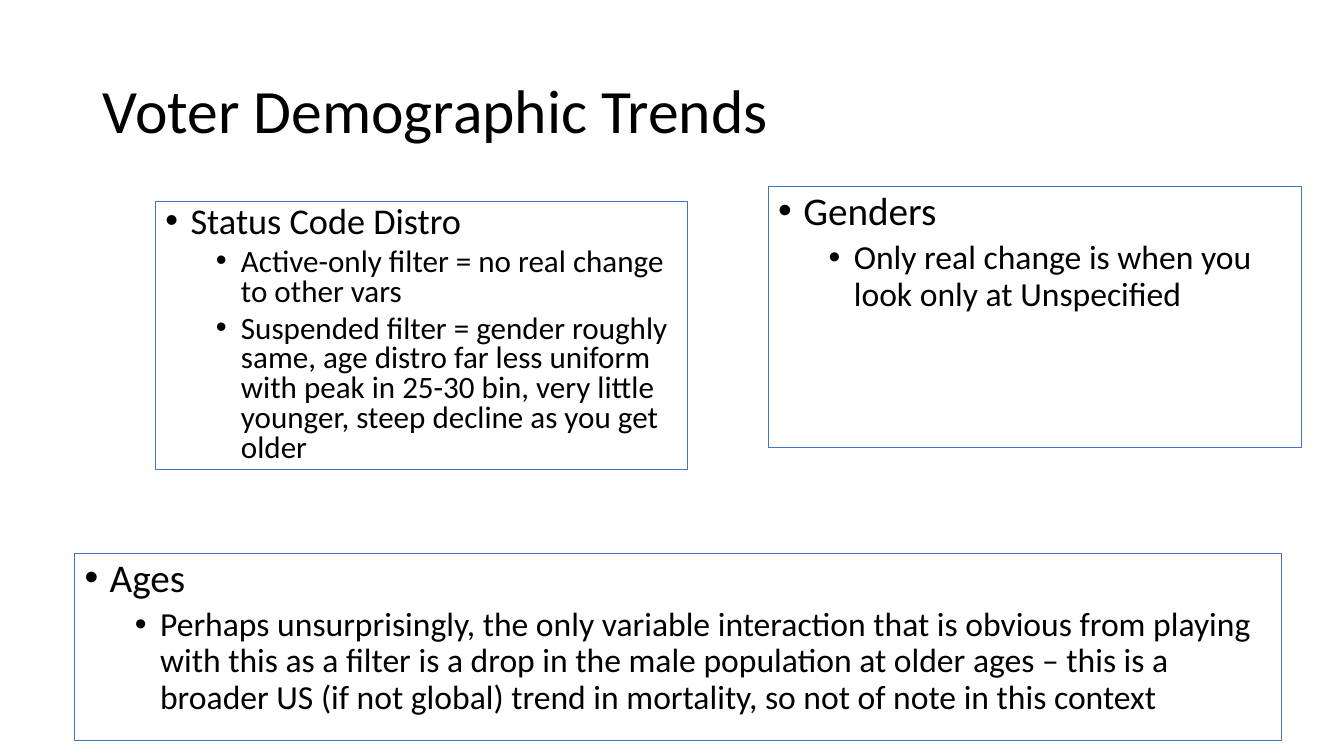
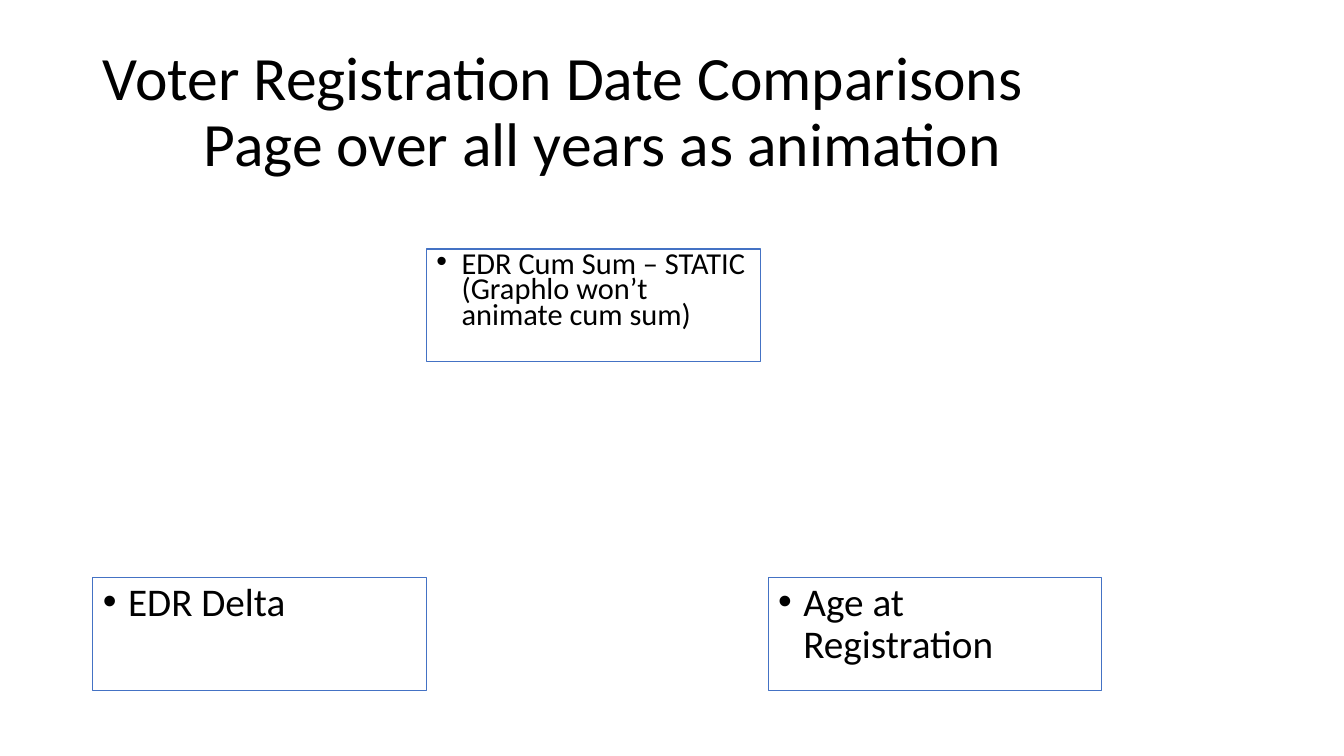
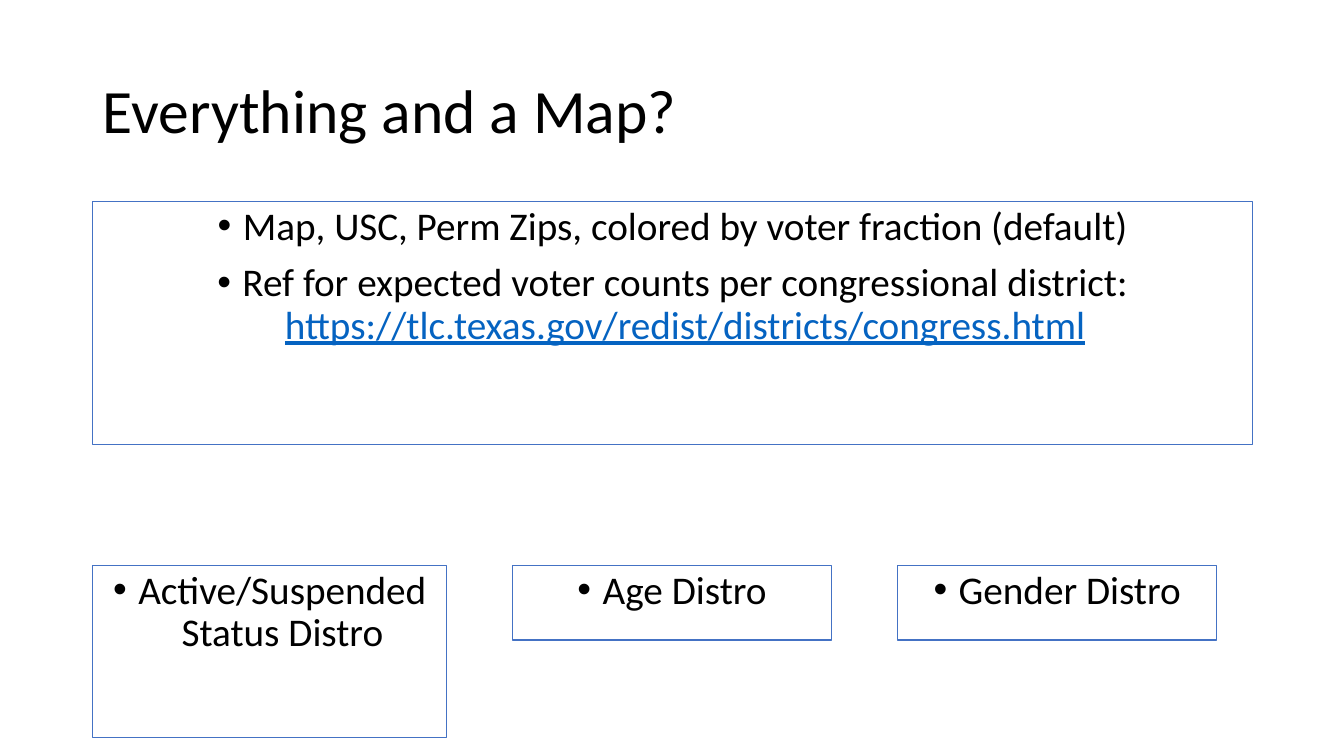
from lxml import etree
from pptx import Presentation
from pptx.dml.color import RGBColor
from pptx.enum.text import MSO_ANCHOR, MSO_AUTO_SIZE, PP_ALIGN
from pptx.oxml.ns import qn
from pptx.util import Inches, Pt

LEFT, CENTER = PP_ALIGN.LEFT, PP_ALIGN.CENTER
TOP, MIDDLE = MSO_ANCHOR.TOP, MSO_ANCHOR.MIDDLE
NO_FIT = MSO_AUTO_SIZE.NONE

BLACK = RGBColor(0x00, 0x00, 0x00)
BLUE = RGBColor(0x44, 0x72, 0xC4)
LINK = RGBColor(0x05, 0x63, 0xC1)
FONT = "Calibri"
MARGIN = 0.92
CONTENT_WIDTH = 11.5


def write(para, text, size, color=BLACK, underline=None):
    """Add text to a paragraph, with a line break at each vertical tab."""
    for number, line in enumerate(text.split("\v")):
        if number:
            para.add_line_break()
        span = para.add_run()
        span.text = line
        span.font.name = FONT
        span.font.size = Pt(size)
        span.font.color.rgb = color
        span.font.underline = underline


class Deck:
    """Holds the presentation, its shared style and the current page."""

    def __init__(self):
        """Start an empty widescreen presentation."""
        self.file = Presentation()
        self.file.slide_width = Inches(13.33)
        self.file.slide_height = Inches(7.5)
        self.page = None

    def place(self, shape, area, anchor):
        """Position a shape and return its prepared text frame."""
        shape.left, shape.top, shape.width, shape.height = map(Inches, area)
        frame = shape.text_frame
        frame.word_wrap = True
        frame.auto_size = NO_FIT
        frame.vertical_anchor = anchor
        return frame

    def add_page(self, title):
        """Add a page with a title."""
        self.page = self.file.slides.add_slide(self.file.slide_layouts[1])
        area = (MARGIN, 0.4, CONTENT_WIDTH, 1.45)
        para = self.place(self.page.shapes.title, area, MIDDLE).paragraphs[0]
        para.alignment = LEFT
        para.line_spacing = 0.9
        para._p.get_or_add_pPr().set("defTabSz", str(Inches(1)))
        write(para, title, size=44)

    def add_body(self, area, items, **style):
        """Fill the body placeholder with a framed list."""
        self.fill_list(self.page.placeholders[1], area, items, **style)

    def add_panel(self, area, items, **style):
        """Add a text box with a framed list."""
        box = self.page.shapes.add_textbox(*map(Inches, area))
        self.fill_list(box, area, items, **style)

    def fill_list(self, box, area, items, sizes=(28, 24), spacing=0.9, align=LEFT):
        """Frame a box and write (level, text, link) items as bullets."""
        box.line.color.rgb = BLUE
        box.line.width = Pt(0.75)
        frame = self.place(box, area, TOP)
        for number, (level, text, *links) in enumerate(items):
            para = frame.add_paragraph() if number else frame.paragraphs[0]
            para.level = level
            para.alignment = align
            para.line_spacing = spacing
            para.space_before = Pt(5 if level else 10)
            para.space_after = Pt(0)
            self.add_bullet(para, level)
            write(para, text, size=sizes[level])
            for link in links:
                write(para, link, size=sizes[level], color=LINK, underline=True)

    def add_bullet(self, para, level):
        """Give a paragraph a hanging round bullet."""
        properties = para._p.get_or_add_pPr()
        properties.set("marL", str(Inches(0.25 + 0.5 * level)))
        properties.set("indent", str(Inches(-0.25)))
        etree.SubElement(properties, qn("a:buFont")).set("typeface", "Arial")
        etree.SubElement(properties, qn("a:buChar")).set("char", "•")


def add_demographics(deck):
    """Build the page on demographic trends."""
    deck.add_page("Voter Demographic Trends")
    deck.add_body((1.54, 2, 5.28, 2.66), [
        (0, "Status Code Distro"),
        (1, "Active-only filter = no real change to other vars"),
        (1, "Suspended filter = gender roughly same, age distro far less uniform "
            "with peak in 25-30 bin, very little younger, steep decline as you get older"),
    ], sizes=(25.9, 22.2), spacing=0.8)
    deck.add_panel((7.62, 1.85, 5.29, 2.59), [
        (0, "Genders"),
        (1, "Only real change is when you look only at Unspecified"),
    ])
    deck.add_panel((0.74, 5.49, 11.97, 1.86), [
        (0, "Ages"),
        (1, "Perhaps unsurprisingly, the only variable interaction that is obvious "
            "from playing with this as a filter is a drop in the male population at "
            "older ages – this is a broader US (if not global) trend in mortality, "
            "so not of note in this context"),
    ])


def add_registration(deck):
    """Build the page on registration dates."""
    width, height, low = 3.31, 1.12, 5.73
    deck.add_page("Voter Registration Date Comparisons\v\tPage over all years as animation")
    deck.add_body((MARGIN, low, width, height), [(0, "EDR Delta")])
    deck.add_panel((MARGIN + width, 2.47, width, height), [
        (0, "EDR Cum Sum – STATIC (Graphlo won’t animate cum sum)"),
    ], sizes=(21.7,), spacing=0.7)
    deck.add_panel((7.62, low, width, height), [(0, "Age at Registration")])


def add_map(deck):
    """Build the page on the map and its distributions."""
    deck.add_page("Everything and a Map?")
    deck.add_body((MARGIN, 2, CONTENT_WIDTH, 2.41), [
        (0, "Map, USC, Perm Zips, colored by voter fraction (default)"),
        (0, "Ref for expected voter counts per congressional district: ",
         "https://tlc.texas.gov/redist/districts/congress.html"),
    ], align=CENTER)
    gap, left = 0.65, MARGIN
    for label, width, height in (
        ("Active/Suspended Status Distro", 3.51, 1.71),
        ("Age Distro", 3.17, 0.74),
        ("Gender Distro", 3.17, 0.74),
    ):
        deck.add_panel((left, 5.61, width, height), [(0, label)], align=CENTER)
        left += width + gap


deck = Deck()
add_demographics(deck)
add_registration(deck)
add_map(deck)
deck.file.save("out.pptx")
